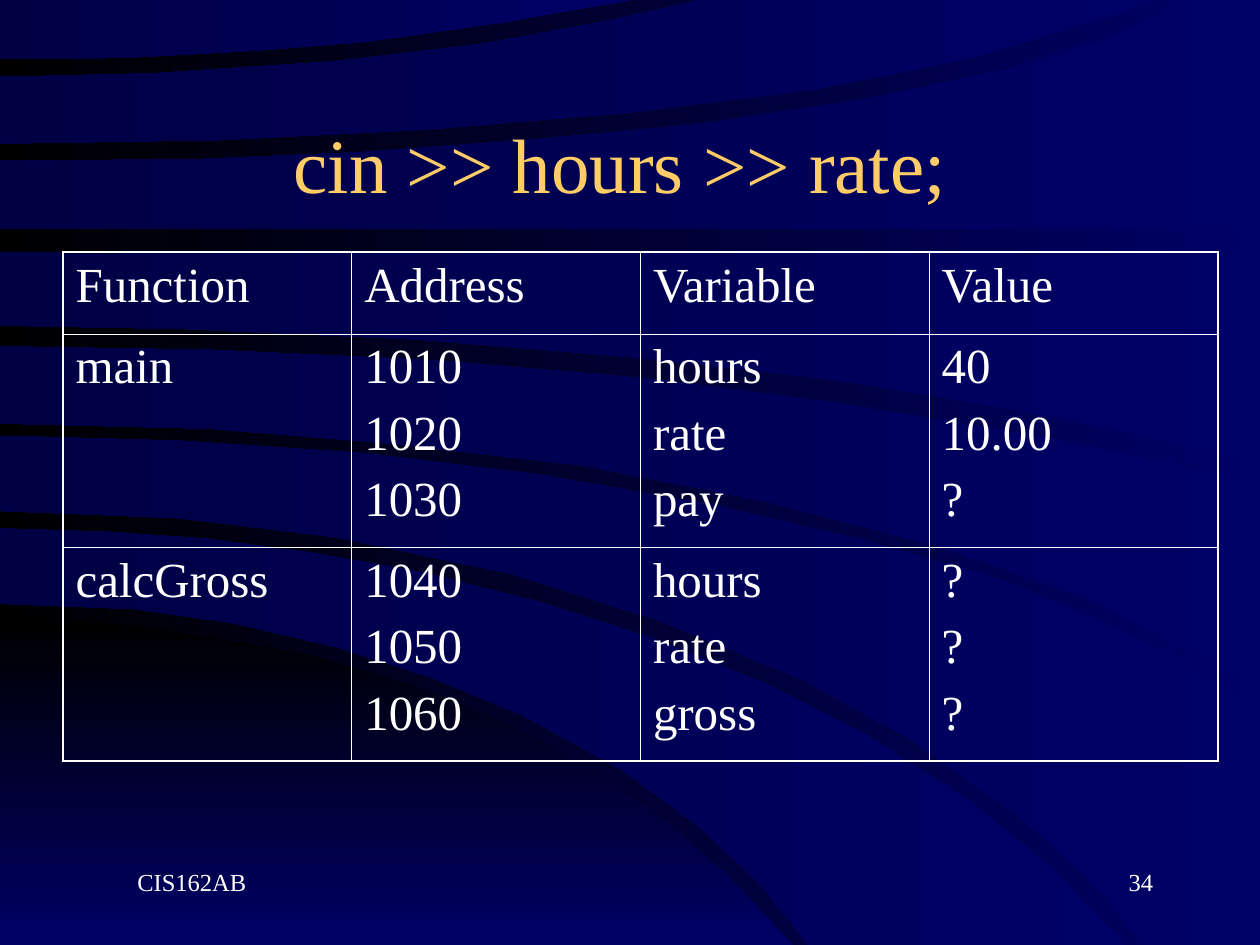
from dataclasses import dataclass

from lxml.etree import SubElement
from pptx import Presentation
from pptx.dml.color import RGBColor as Color
from pptx.enum.text import MSO_ANCHOR as Anchor, PP_ALIGN as Align
from pptx.oxml.ns import qn
from pptx.util import Pt


@dataclass(frozen=True)
class Theme:
    font: str = "Times New Roman"
    title_size: float = 44
    table_size: float = 28
    footer_size: float = 14
    title: str = "FFCC66"
    text: str = "FFFFFF"
    blue: str = "000066"
    navy: str = "000044"
    black: str = "000000"
    outer_line: float = 1.08
    inner_line: float = 0.45


THEME = Theme()
WIDTH, HEIGHT = 720, 540

# Each band is an upper edge and a lower edge, both from left to right.
BANDS = [
    ([(0, 302.4), (63, 303.8), (119, 308), (179, 316), (241, 327), (308, 344),
      (371, 363.6), (436, 390), (495, 420), (551, 455), (600, 495), (643, 540)],
     [(0, 345), (76, 348.5), (133, 356), (193, 370), (246, 387), (299, 409),
      (354, 439), (398, 471), (435, 506), (462, 540)]),
    ([(0, 249), (104, 252), (208, 259), (307, 271), (410, 289), (499, 309.6),
      (568, 330.5), (629, 354), (675, 377), (720, 404.6)],
     [(0, 291.6), (101, 296), (192, 307), (292, 328), (375, 354), (458, 388),
      (518, 421), (583, 466.6), (621, 501), (654.5, 540), (720, 540)]),
    ([(0, 198), (121, 200), (251, 206), (377, 217), (477, 230), (587, 248),
      (652, 260.6), (720, 277)],
     [(0, 242), (120, 245), (218, 253), (333, 266), (439, 286.6), (535, 312),
      (614, 339), (685, 373), (720, 394.6)]),
    ([(0, 144), (720, 144)],
     [(0, 186.5), (106, 188), (239, 194), (361, 204), (477, 217), (585, 235),
      (659, 250), (720, 265)]),
    ([(0, 92), (113, 91), (206, 87), (302, 80), (399, 70.6), (492, 57),
      (578, 39), (642, 18), (679, 0), (720, 0)],
     [(0, 131), (720, 131)]),
    ([(0, 44), (87, 42.5), (192, 35), (276, 25), (347, 12), (400, 0)],
     [(0, 82), (127, 80), (245, 74), (363, 64), (467, 51), (556, 33),
      (636, 9.4), (660, 0)]),
    ([(0, 0), (361, 0)],
     [(0, 34), (73, 33), (145, 29), (208, 24), (287, 13), (361, 0)]),
]
FLOOR = ([(0, 353.5), (63, 356), (119, 363.6), (180, 375), (236, 392),
          (279, 409), (333, 436), (381, 469), (416, 500), (453, 540)],
         [(0, 540), (453, 540)])

ROWS = [
    ("Function", "Address", "Variable", "Value"),
    ("main", "1010\n1020\n1030", "hours\nrate\npay", "40\n10.00\n?"),
    ("calcGross", "1040\n1050\n1060", "hours\nrate\ngross", "?\n?\n?"),
]
ROW_HEIGHTS = (46.8, 122, 122)


def style_font(para, size, color):
    font = para.font
    font.name, font.size = THEME.font, Pt(size)
    font.color.rgb = Color.from_string(color)


def fill_gradient(fill, start, end, angle):
    """Angle runs counter-clockwise, in degrees."""
    fill.gradient()
    fill.gradient_angle = angle
    for stop, color, position in zip(fill.gradient_stops, (start, end), (0, 1)):
        stop.color.rgb = Color.from_string(color)
        stop.position = position


def draw_band(page, edges, start, end, angle):
    upper, lower = edges
    outline = upper + lower[::-1]
    builder = page.shapes.build_freeform(*outline[0], scale=Pt(1))
    builder.add_line_segments(outline[1:], close=True)
    band = builder.convert_to_shape()
    band.shadow.inherit = False
    band.line.fill.background()
    fill_gradient(band.fill, start, end, angle)


def draw_backdrop(page):
    fill_gradient(page.background.fill, THEME.blue, THEME.black, 180)
    draw_band(page, FLOOR, THEME.black, THEME.blue, 270)
    for edges in BANDS:
        draw_band(page, edges, THEME.blue, THEME.navy, 180)


def place_title(page, box, text):
    title = page.shapes.title
    title.left, title.top, title.width, title.height = map(Pt, box)
    page.shapes.element.append(title.element)  # in front of the backdrop
    title.text_frame.text = text
    title.text_frame.vertical_anchor = Anchor.MIDDLE
    para = title.text_frame.paragraphs[0]
    para.alignment = Align.CENTER
    style_font(para, THEME.title_size, THEME.title)


def set_borders(cell, widths):
    """Widths are given for the left, right, top and bottom side."""
    properties = cell._tc.get_or_add_tcPr()
    for side, width in zip("LRTB", widths):
        line = SubElement(properties, qn(f"a:ln{side}"), w=str(Pt(width)))
        solid = SubElement(line, qn("a:solidFill"))
        SubElement(solid, qn("a:srgbClr"), val=THEME.text)


def place_table(page, box):
    row_count, column_count = len(ROWS), len(ROWS[0])
    table = page.shapes.add_table(row_count, column_count, *map(Pt, box)).table
    table.first_row = table.horz_banding = False
    for row, height in zip(table.rows, ROW_HEIGHTS):
        row.height = Pt(height)
    for r, texts in enumerate(ROWS):
        for c, text in enumerate(texts):
            cell = table.cell(r, c)
            on_rim = (c == 0, c == column_count - 1, r == 0, r == row_count - 1)
            set_borders(cell, [THEME.outer_line if rim else THEME.inner_line
                               for rim in on_rim])
            cell.fill.background()
            cell.text = text
            for para in cell.text_frame.paragraphs:
                para.space_before = Pt(7)
                style_font(para, THEME.table_size, THEME.text)


def place_footer(page, box, text, alignment):
    frame = page.shapes.add_textbox(*map(Pt, box)).text_frame
    frame.word_wrap = True
    frame.margin_left = Pt(24.5)
    frame.text = text
    para = frame.paragraphs[0]
    para.alignment = alignment
    style_font(para, THEME.footer_size, THEME.text)


def main():
    deck = Presentation()
    deck.slide_width, deck.slide_height = Pt(WIDTH), Pt(HEIGHT)
    page = deck.slides.add_slide(deck.slide_layouts[5])
    draw_backdrop(page)
    place_title(page, (54, 48, 612, 90), "cin >> hours >> rate; ")
    place_table(page, (36, 144, 660, sum(ROW_HEIGHTS)))
    place_footer(page, (516, 492, 150, 36), "34", Align.RIGHT)
    place_footer(page, (54, 492, 150, 36), "CIS162AB", Align.LEFT)
    deck.save("out.pptx")


if __name__ == "__main__":
    main()
